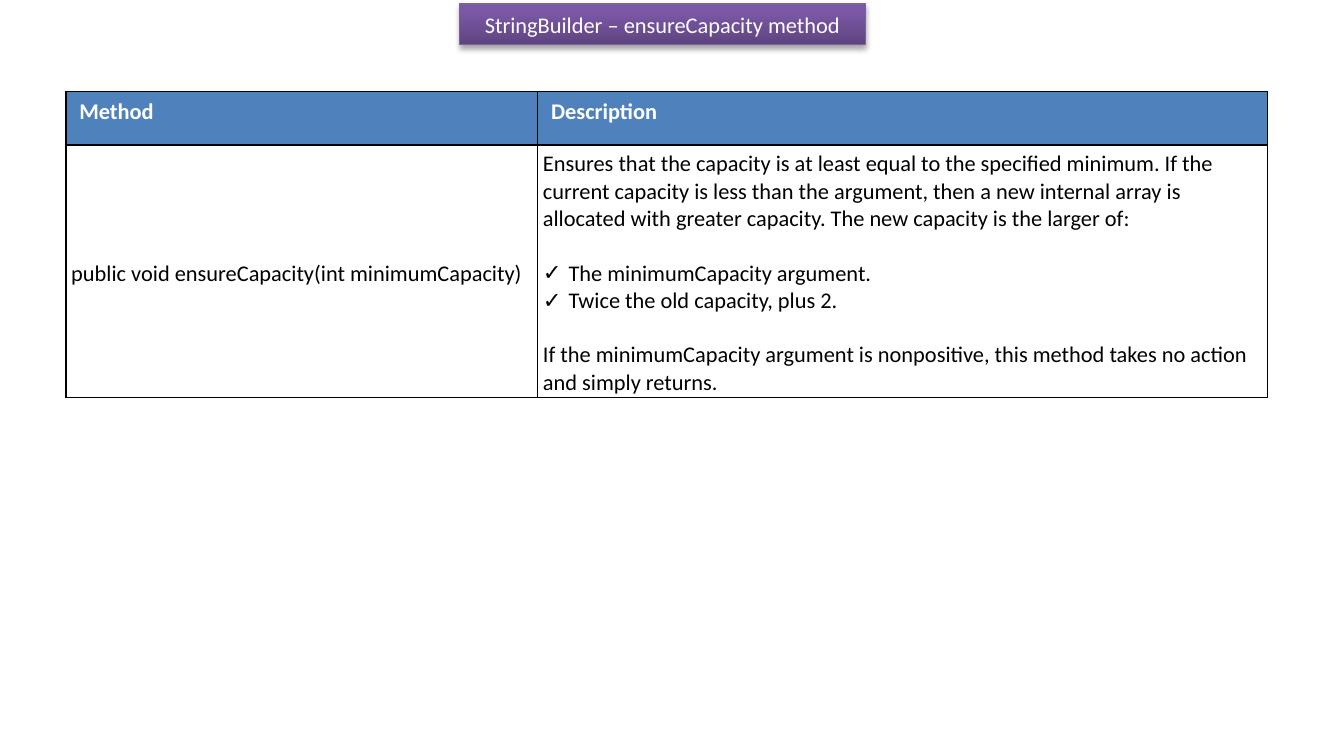
from lxml import etree
from pptx import Presentation
from pptx.dml.color import RGBColor
from pptx.enum import shapes, text
from pptx.oxml import parse_xml
from pptx.oxml.ns import nsdecls, qn
from pptx.util import Inches, Pt

FONT = "Calibri"
TITLE = "StringBuilder – ensureCapacity method"
HEADERS = ["Method", "Description"]
SIGNATURE = "public void ensureCapacity(int minimumCapacity)"
DESCRIPTION = [
    ("Ensures that the capacity is at least equal to the specified minimum. "
     "If the current capacity is less than the argument, then a new internal "
     "array is allocated with greater capacity. The new capacity is the larger of:",
     False, 0),
    ("The minimumCapacity argument.", True, 14.6),
    ("Twice the old capacity, plus 2.", True, 0),
    ("If the minimumCapacity argument is nonpositive, this method takes no "
     "action and simply returns.", False, 14.6),
]
ROWS = [
    [[(header, False, 0)] for header in HEADERS],
    [[(SIGNATURE, False, 0)], DESCRIPTION],
]
GRADIENT = [(0, "5F4480"), (80, "7B58A6"), (100, "7C57A8")]
COLUMN_WIDTHS = [3.51, 5.43]
ROW_HEIGHTS = [0.4, 1.88]
ROW_STYLES = [("4F81BD", "FFFFFF", True), ("FFFFFF", "000000", False)]


def color(value):
    return RGBColor.from_string(value)


def style_runs(para, value, bold=False):
    for span in para.runs:
        span.font.name = FONT
        span.font.size = Pt(12)
        span.font.bold = bold
        span.font.color.rgb = color(value)


def add_title(page):
    box = page.shapes.add_shape(shapes.MSO_SHAPE.RECTANGLE, Inches(3.42),
                                Inches(0.03), Inches(3.02), Inches(0.3))
    box.shadow.inherit = False
    box.line.color.rgb = color("7D60A0")
    box.line.width = Pt(0.75)
    stops = "".join(f'<a:gs pos="{place * 1000}"><a:srgbClr val="{value}"/></a:gs>'
                    for place, value in GRADIENT)
    properties = box.element.spPr
    properties.find(qn("a:prstGeom")).addnext(parse_xml(
        f'<a:gradFill {nsdecls("a")} rotWithShape="1"><a:gsLst>{stops}</a:gsLst>'
        '<a:lin ang="16200000" scaled="0"/></a:gradFill>'))
    properties.find(qn("a:effectLst")).append(parse_xml(
        f'<a:outerShdw {nsdecls("a")} blurRad="{Pt(3.1)}" dist="{Pt(1.8)}" '
        'dir="5400000" rotWithShape="0"><a:srgbClr val="000000">'
        '<a:alpha val="35000"/></a:srgbClr></a:outerShdw>'))
    frame = box.text_frame
    frame.text = TITLE
    frame.word_wrap = True
    frame.vertical_anchor = text.MSO_ANCHOR.MIDDLE
    frame.paragraphs[0].alignment = text.PP_ALIGN.CENTER
    style_runs(frame.paragraphs[0], "FFFFFF")


def add_borders(cell):
    properties = cell._tc.get_or_add_tcPr()
    for side in ("lnL", "lnR", "lnT", "lnB"):
        properties.append(parse_xml(
            f'<a:{side} {nsdecls("a")} w="{Pt(1)}"><a:solidFill>'
            f'<a:srgbClr val="000000"/></a:solidFill></a:{side}>'))


def add_check(para):
    properties = para._p.get_or_add_pPr()
    properties.set("marL", str(Inches(0.19)))
    properties.set("indent", str(-Inches(0.19)))
    etree.SubElement(properties, qn("a:buFont"), typeface=FONT)
    etree.SubElement(properties, qn("a:buChar"), char="✓")


def fill_cell(cell, content, style):
    background, ink, header = style
    add_borders(cell)
    cell.fill.solid()
    cell.fill.fore_color.rgb = color(background)
    if not header:
        cell.vertical_anchor = text.MSO_ANCHOR.MIDDLE
        cell.margin_left = cell.margin_right = cell.margin_top = Inches(0.04)
        cell.margin_bottom = Inches(0.01)
    frame = cell.text_frame
    frame.text = "\n".join(words for words, checked, gap in content)
    for para, (words, checked, gap) in zip(frame.paragraphs, content):
        if checked:
            add_check(para)
        if gap:
            para.space_before = Pt(gap)
        style_runs(para, ink, header)


def add_methods(page):
    table = page.shapes.add_table(
        len(ROWS), len(HEADERS), Inches(0.49), Inches(0.68),
        Inches(sum(COLUMN_WIDTHS)), Inches(sum(ROW_HEIGHTS))).table
    for column, width in zip(table.columns, COLUMN_WIDTHS):
        column.width = Inches(width)
    for row, height, contents, style in zip(table.rows, ROW_HEIGHTS, ROWS, ROW_STYLES):
        row.height = Inches(height)
        for cell, content in zip(row.cells, contents):
            fill_cell(cell, content, style)


def main():
    deck = Presentation()
    deck.slide_width, deck.slide_height = Inches(10), Inches(5.5)
    page = deck.slides.add_slide(deck.slide_layouts[6])
    add_title(page)
    add_methods(page)
    deck.save("out.pptx")


if __name__ == "__main__":
    main()
